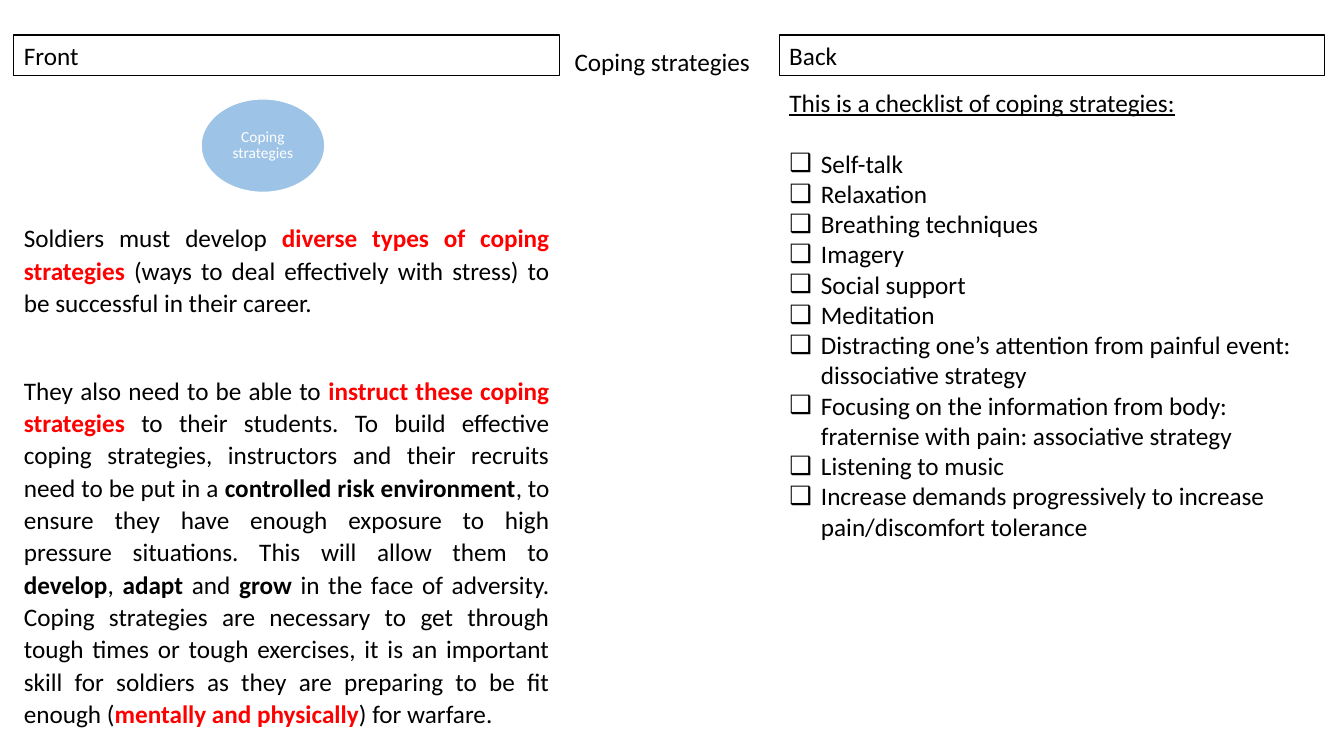
from pptx import Presentation
from pptx.dml.color import RGBColor
from pptx.enum.shapes import MSO_SHAPE as Shape
from pptx.enum.text import MSO_ANCHOR as Anchor, MSO_AUTO_SIZE as Auto, PP_ALIGN as Align
from pptx.util import Pt
from lxml.etree import SubElement

BLACK = RGBColor(0, 0, 0)
WHITE = RGBColor(255, 255, 255)
RED = RGBColor(255, 0, 0)
BLUE = RGBColor(0x9D, 0xC3, 0xE6)

LEFT, RIGHT, WIDE = 10, 556.7, 389.6
DRAWN = "{http://schemas.openxmlformats.org/drawingml/2006/main}"


def style(para, size=18, color=BLACK, align=Align.LEFT, pitch=1.0, after=0):
    """Set the font and spacing of a paragraph."""
    font = para.font
    font.name, font.size, font.color.rgb = "Calibri", Pt(size), color
    para.alignment, para.line_spacing = align, pitch
    para.space_before, para.space_after = Pt(0), Pt(after)


def place(shape, left, top, width, height):
    """Move and size a shape, in points."""
    shape.left, shape.top = Pt(left), Pt(top)
    shape.width, shape.height = Pt(width), Pt(height)


deck = Presentation()
deck.slide_width, deck.slide_height = Pt(960), Pt(540)
slide = deck.slides.add_slide(deck.slide_layouts[1])
shapes = slide.shapes

# Title
title = shapes.title
place(title, 403.2, 6.5, 156.3, 51.8)
title.text_frame.text = "Coping strategies"
title.text_frame.auto_size = Auto.NONE
title.text_frame.vertical_anchor = Anchor.BOTTOM
style(title.text_frame.paragraphs[0], pitch=0.9)

# Headings of the two card sides
for name, left in (("Front", LEFT), ("Back", RIGHT)):
    head = shapes.add_shape(Shape.RECTANGLE, Pt(left), Pt(25), Pt(WIDE), Pt(29))
    head.shadow.inherit = False
    head.fill.background()
    head.line.color.rgb, head.line.width = BLACK, Pt(0.75)
    head.text_frame.text = name
    head.text_frame.vertical_anchor = Anchor.TOP
    style(head.text_frame.paragraphs[0])

# Topic bubble
topic = shapes.add_shape(Shape.OVAL, Pt(143.6), Pt(70.6), Pt(88.4), Pt(66.8))
topic.shadow.inherit = False
topic.fill.solid()
topic.fill.fore_color.rgb = BLUE
topic.line.color.rgb, topic.line.width = WHITE, Pt(1)
frame = topic.text_frame
frame.margin_left = frame.margin_right = Pt(1.4)
frame.margin_top = frame.margin_bottom = Pt(1.4)
frame.vertical_anchor = Anchor.MIDDLE
frame.text = "Coping strategies"
style(frame.paragraphs[0], 11, WHITE, Align.CENTER, 0.9)

# Front text: each run is (text, mark), with "r" for bold red and "b" for bold
front = [
    [("Soldiers must develop ", ""),
     ("diverse types of coping strategies ", "r"),
     ("(ways to deal effectively with stress) to be successful in their career. ", "")],
    [("They also need to be able to ", ""),
     ("instruct these coping strategies", "r"),
     (" to their students. To build effective coping strategies, instructors and "
      "their recruits need to be put in a ", ""),
     ("controlled risk environment", "b"),
     (", to ensure they have enough exposure to high pressure situations. "
      "This will allow them to ", ""),
     ("develop", "b"), (", ", ""), ("adapt", "b"), (" and ", ""), ("grow ", "b"),
     ("in the face of adversity. Coping strategies are necessary to get through "
      "tough times or tough exercises, it is an important skill for soldiers as "
      "they are preparing to be fit enough (", ""),
     ("mentally and physically", "r"),
     (") for warfare. ", "")],
]
story = shapes.add_textbox(Pt(LEFT), Pt(154), Pt(WIDE), Pt(372)).text_frame
story.word_wrap = True
for i, parts in enumerate(front):
    para = story.add_paragraph() if i else story.paragraphs[0]
    style(para, align=Align.JUSTIFY, pitch=1.07, after=8 if i else 39.5)
    for text, mark in parts:
        run = para.add_run()
        run.text = text
        run.font.bold = bool(mark)
        run.font.color.rgb = RED if mark == "r" else BLACK

# Back checklist
checks = [
    "Self-talk", "Relaxation", "Breathing techniques", "Imagery",
    "Social support", "Meditation",
    "Distracting one’s attention from painful event: dissociative strategy",
    "Focusing on the information from body: fraternise with pain: associative strategy",
    "Listening to music",
    "Increase demands progressively to increase pain/discomfort tolerance",
]
body = slide.placeholders[1]
place(body, RIGHT, 58.5, WIDE, 334)
frame = body.text_frame
frame.auto_size = Auto.NONE
frame.text = "\n".join(["This is a checklist of coping strategies:"] + checks)
for i, para in enumerate(frame.paragraphs):
    style(para, after=0 if i else 22)
    para.font.underline = i == 0
    props = para._p.get_or_add_pPr()
    indent = Pt(22.5) if i else 0
    props.set("marL", str(indent))
    props.set("indent", str(-indent))
    # The bullet must stand before the default run properties
    mark = SubElement(props, DRAWN + ("buChar" if i else "buNone"))
    if i:
        mark.set("char", "❑")
    props.find(DRAWN + "defRPr").addprevious(mark)

deck.save("out.pptx")
